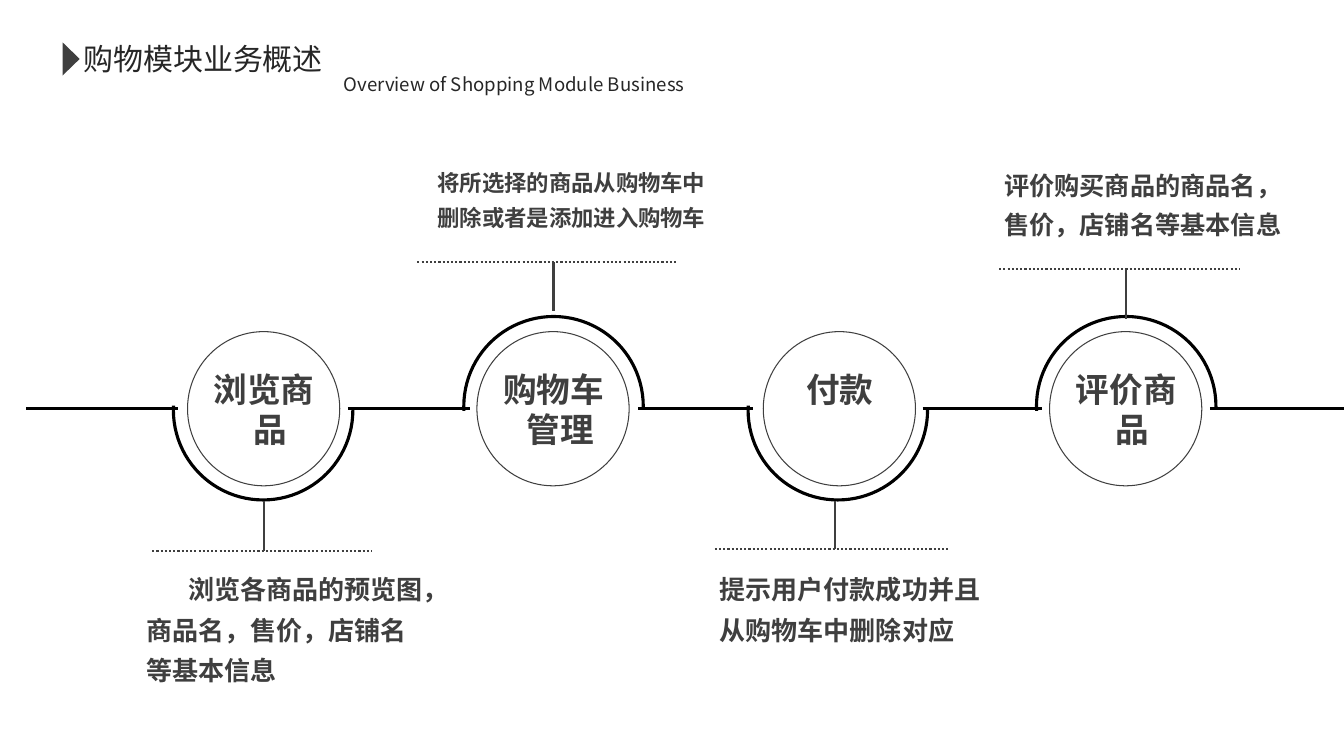
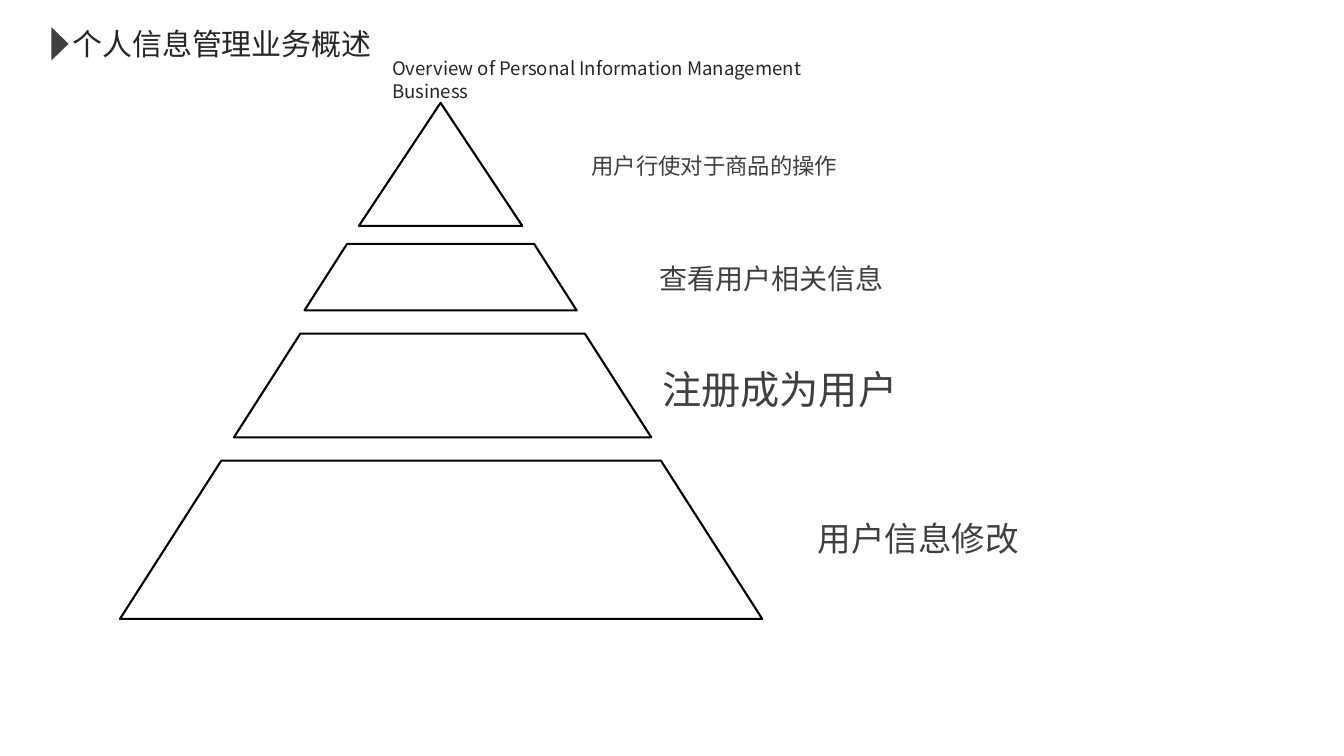
from pptx import Presentation
from pptx.dml.color import RGBColor as Rgb
from pptx.enum.dml import MSO_LINE as Dash
from pptx.enum.shapes import MSO_CONNECTOR as Conn, MSO_SHAPE as Geo
from pptx.enum.text import MSO_ANCHOR as Anchor, MSO_AUTO_SIZE as Fit, PP_ALIGN as Align
from pptx.oxml.ns import qn
from pptx.util import Inches, Pt
from lxml import etree

GREY, DARK, BLACK, WHITE = "3F3F3F", "262626", "000000", "FFFFFF"
SANS, BODY = "Noto Sans CJK SC", "Arial"


def color(code):
    return Rgb.from_string(code)


class Deck:
    def __init__(self):
        self.prs = Presentation()
        self.prs.slide_width = Inches(13.33)
        self.prs.slide_height = Inches(7.5)
        self.slide = None

    def page(self, title, sub, x, y, gap):
        """Start a slide with its title, marker and subtitle."""
        self.slide = self.prs.slides.add_slide(self.prs.slide_layouts[6])
        back = self.slide.background.fill
        back.solid()
        back.fore_color.rgb = color(WHITE)
        self.text(title, x, y, gap, 0.46, 21.4, SANS, DARK, wrap=False)
        mark = self.shape(Geo.ISOSCELES_TRIANGLE, x - 0.19, y + 0.15, 0.33, 0.17, fill=GREY)
        mark.rotation = 90
        self.text(sub, x + gap, y + 0.32, 5, 0.33, 13.3, SANS, DARK, wrap=False)

    def shape(self, geo, x, y, w, h, line=None, width=1, fill=None, adj=()):
        item = self.slide.shapes.add_shape(geo, Inches(x), Inches(y), Inches(w), Inches(h))
        item.shadow.inherit = False
        for i, value in enumerate(adj):
            item.adjustments[i] = value
        if fill:
            item.fill.solid()
            item.fill.fore_color.rgb = color(fill)
        else:
            item.fill.background()
        if line:
            item.line.color.rgb = color(line)
            item.line.width = Pt(width)
        else:
            item.line.fill.background()
        return item

    def line(self, x1, y1, x2, y2, ink=GREY, width=1.5, dash=None):
        item = self.slide.shapes.add_connector(
            Conn.STRAIGHT, Inches(x1), Inches(y1), Inches(x2), Inches(y2))
        item.line.color.rgb = color(ink)
        item.line.width = Pt(width)
        if dash:
            item.line.dash_style = dash
        etree.SubElement(item._element.spPr, qn("a:effectLst"))

    def text(self, words, x, y, w, h, size, face=BODY, ink=GREY, bold=False, wrap=True,
             mid=False, center=False, space=None, left=0, indent=0):
        box = self.slide.shapes.add_textbox(Inches(x), Inches(y), Inches(w), Inches(h))
        frame = box.text_frame
        frame.text = words
        frame.word_wrap = wrap
        frame.auto_size = Fit.NONE if mid else Fit.SHAPE_TO_FIT_TEXT
        frame.vertical_anchor = Anchor.MIDDLE if mid else Anchor.TOP
        para = frame.paragraphs[0]
        para.alignment = Align.CENTER if center else Align.LEFT
        if space:
            para.line_spacing = space
        if left or indent:
            props = para._p.get_or_add_pPr()
            props.set("marL", str(Inches(left)))
            props.set("indent", str(Inches(indent)))
        run = para.runs[0]
        run.font.size = Pt(size)
        run.font.bold = bold
        run.font.color.rgb = color(ink)
        run.font.name = face
        east = etree.SubElement(run._r.get_or_add_rPr(), qn("a:ea"))
        east.set("typeface", SANS)

    def arc(self, x, up):
        """Half ring around a step, centred on x."""
        start, end = (177, 1) if up else (359, 183)
        top = 3.14 if up else 3.18
        self.shape(Geo.ARC, x - 0.89, top, 1.78, 1.78, BLACK, 2.25,
                   adj=(start * 0.6, end * 0.6))

    def step(self, name, x, ring, up):
        self.arc(ring, up)
        self.shape(Geo.OVAL, x, 3.29, 1.51, 1.53, GREY, 0.75)
        self.text(name, x, 3.61, 1.52, 0.91, 24, bold=True, center=True,
                  left=0.13, indent=-0.13)

    def note(self, words, size, x, y, stem, ends, rule, indent=0):
        """Text with a dotted rule and a stem towards its step."""
        up = y < rule
        start, end = (rule, rule + 0.49) if up else (4.97, rule)
        self.line(stem, start, stem, end)
        self.line(ends[0], rule, ends[1], rule, dash=Dash.ROUND_DOT)
        self.text(words, x, y, 3.02, 0.9, size, bold=True, space=1.3, indent=indent)


def shopping(deck):
    deck.page("购物模块业务概述", "Overview of Shopping Module Business", 0.73, 0.35, 2.58)
    # Base line
    for x1, x2 in ((0.26, 1.77), (3.45, 4.66), (6.33, 7.47), (9.15, 10.33), (12, 13.33)):
        deck.line(x1, 4.05, x2, 4.05, BLACK, 2.25)
    # Steps
    deck.step("浏览商品", 1.86, 2.61, False)
    deck.step("购物车管理", 4.73, 5.49, True)
    deck.step("付款", 7.57, 8.31, False)
    deck.step("评价商品", 10.41, 11.17, True)
    # Notes
    deck.note("浏览各商品的预览图，商品名，售价，店铺名等基本信息", 18.6,
              1.35, 5.55, 2.62, (1.51, 3.69), 5.47, indent=0.42)
    deck.note("将所选择的商品从购物车中删除或者是添加进入购物车", 16,
              4.24, 1.55, 5.49, (4.14, 6.72), 2.6)
    deck.note("提示用户付款成功并且从购物车中删除对应", 18.6,
              7.04, 5.55, 8.28, (7.09, 9.41), 5.45)
    deck.note("评价购买商品的商品名，售价，店铺名等基本信息", 18,
              9.86, 1.55, 11.17, (9.91, 12.29), 2.67)


def profile(deck):
    deck.page("个人信息管理业务概述", "Overview of Personal Information Management Business",
              0.62, 0.2, 3.17)
    # Pyramid
    deck.shape(Geo.ISOSCELES_TRIANGLE, 3.56, 1.02, 1.62, 1.22, BLACK, 1.5)
    for x, y, w, h in ((3.02, 2.42, 2.7, 0.66), (2.32, 3.31, 4.14, 1.03),
                       (1.19, 4.57, 6.37, 1.57)):
        deck.shape(Geo.TRAPEZOID, x, y, w, h, BLACK, 1.5, adj=(0.64,))
    # Labels
    for words, x, y, w, size in (("用户行使对于商品的操作", 5.77, 1.32, 6.56, 16),
                                 ("查看用户相关信息", 6.44, 2.42, 5.89, 20),
                                 ("注册成为用户", 6.47, 3.49, 5.32, 28),
                                 ("用户信息修改", 8.01, 4.98, 4.33, 24)):
        deck.text(words, x, y, w, 0.51, size, SANS, mid=True, space=1.5)


def main():
    deck = Deck()
    shopping(deck)
    profile(deck)
    deck.prs.save("out.pptx")


if __name__ == "__main__":
    main()
